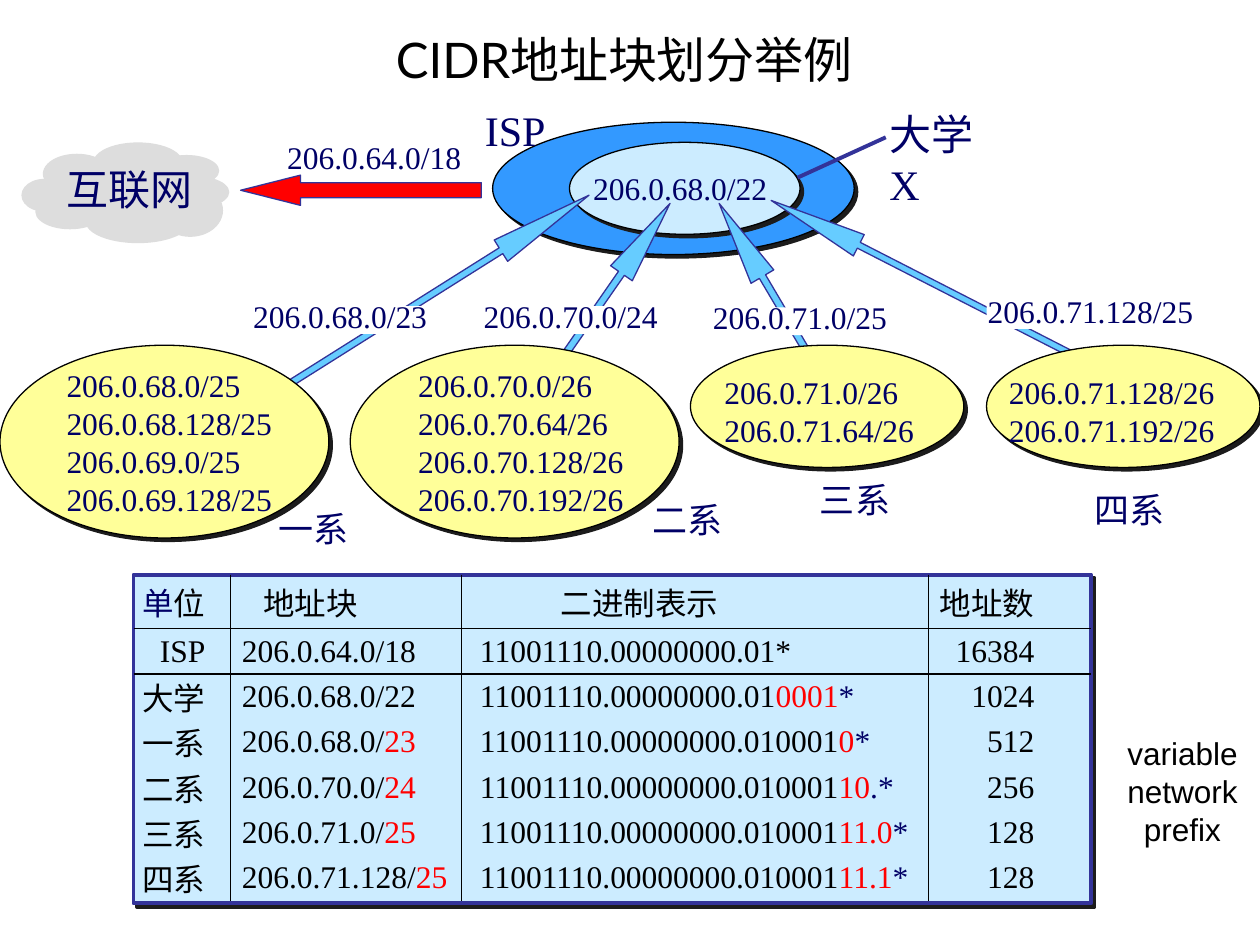
"""Build the slide that explains CIDR address block allocation."""
from typing import NamedTuple

from lxml.etree import SubElement
from pptx import Presentation
from pptx.dml.color import RGBColor
from pptx.enum.shapes import MSO_CONNECTOR, MSO_SHAPE as Preset
from pptx.enum.text import MSO_ANCHOR as Anchor, PP_ALIGN as Align
from pptx.oxml.ns import qn
from pptx.util import Inches, Pt

BLACK = RGBColor(0x00, 0x00, 0x00)
WHITE = RGBColor(0xFF, 0xFF, 0xFF)
NAVY = RGBColor(0x00, 0x00, 0x66)
INDIGO = RGBColor(0x33, 0x33, 0x99)
RED = RGBColor(0xFF, 0x00, 0x00)
GREY = RGBColor(0xDD, 0xDD, 0xDD)
BLUE = RGBColor(0x33, 0x99, 0xFF)
SKY = RGBColor(0x66, 0xCC, 0xFF)
PALE = RGBColor(0xCC, 0xEC, 0xFF)
YELLOW = RGBColor(0xFF, 0xFF, 0x99)
SERIF = "Times New Roman"
NO_GRID_STYLE = "{2D5ABB26-0587-4C30-8999-92F81FD0307C}"


class Box(NamedTuple):
    left: float
    top: float
    width: float
    height: float


class Arrow(NamedTuple):
    box: Box
    rotation: float
    head: float


class Department(NamedTuple):
    name: str
    name_box: Box
    arrow: Arrow
    ellipse: Box
    subnets: str
    subnets_box: Box
    prefix: str
    prefix_box: Box


class Part(NamedTuple):
    text: str
    color: RGBColor = BLACK


class Column(NamedTuple):
    width: float
    align: Align
    margin_left: float
    margin_right: float
    heading_left: float


class Row(NamedTuple):
    unit: str
    block: str
    length: Part
    binary: str
    varying: str
    suffix: Part
    count: str

    def cells(self) -> list[list[Part]]:
        return [[Part(self.unit)], [Part(self.block), self.length],
                [Part(self.binary), Part(self.varying, RED), self.suffix], [Part(self.count)]]


CLOUD = [
    Box(0.74, 1.13, 0.71, 0.32), Box(0.34, 1.22, 0.54, 0.32), Box(0.17, 1.42, 0.36, 0.26),
    Box(0.28, 1.54, 0.55, 0.28), Box(0.68, 1.59, 0.83, 0.34), Box(1.22, 1.23, 0.52, 0.25),
    Box(1.30, 1.40, 0.52, 0.25), Box(1.25, 1.46, 0.52, 0.42), Box(0.47, 1.33, 1.07, 0.42),
]

DEPARTMENTS = [
    Department("一系", Box(2.11, 3.98, 0.76, 0.43), Arrow(Box(1.97, 2.23, 2.93, 0.2), 147.8, 4.13),
               Box(0, 2.74, 2.61, 1.53),
               "206.0.68.0/25\n206.0.68.128/25\n206.0.69.0/25\n206.0.69.128/25",
               Box(0.43, 2.86, 1.83, 1.3), "206.0.68.0/23", Box(1.91, 2.31, 1.58, 0.4)),
    Department("二系", Box(5.08, 3.91, 0.76, 0.43), Arrow(Box(3.48, 2.47, 2.34, 0.21), 124.8, 3.22),
               Box(2.78, 2.74, 2.61, 1.53),
               "206.0.70.0/26\n206.0.70.64/26\n206.0.70.128/26\n206.0.70.192/26",
               Box(3.22, 2.86, 1.83, 1.3), "206.0.70.0/24", Box(3.74, 2.31, 1.58, 0.4)),
    Department("三系", Box(6.41, 3.75, 0.76, 0.43), Arrow(Box(5.13, 2.52, 2.35, 0.21), 59.4, 3.22),
               Box(5.48, 2.74, 2.17, 0.97), "206.0.71.0/26\n206.0.71.64/26",
               Box(5.65, 2.91, 1.71, 0.7), "206.0.71.0/25", Box(5.56, 2.32, 1.58, 0.4)),
    Department("四系", Box(8.59, 3.83, 0.76, 0.43), Arrow(Box(5.97, 2.12, 2.74, 0.19), 27.1, 4.11),
               Box(7.83, 2.74, 2.17, 0.97), "206.0.71.128/26\n206.0.71.192/26",
               Box(7.91, 2.91, 1.83, 0.7), "206.0.71.128/25", Box(7.74, 2.27, 1.83, 0.4)),
]

COLUMNS = [
    Column(0.77, Align.RIGHT, 0, 0.2, 0),
    Column(1.83, Align.LEFT, 0.09, 0, 0.26),
    Column(3.71, Align.LEFT, 0.15, 0, 0.79),
    Column(1.29, Align.RIGHT, 0, 0.45, 0),
]
HEADINGS = [[Part("单", NAVY), Part("位")], [Part("地址块")], [Part("二进制表示")], [Part("地址数")]]
STAR = Part("*", NAVY)
ROWS = [
    Row("ISP", "206.0.64.0/", Part("18"), "11001110.00000000.01", "", Part("*"), "16384"),
    Row("大学", "206.0.68.0/", Part("22"), "11001110.00000000.01", "0001", STAR, "1024"),
    Row("一系", "206.0.68.0/", Part("23", RED), "11001110.00000000.010001", "0", STAR, "512"),
    Row("二系", "206.0.70.0/", Part("24", RED), "11001110.00000000.010001", "10",
        Part(".*", NAVY), "256"),
    Row("三系", "206.0.71.0/", Part("25", RED), "11001110.00000000.010001", "11.0", STAR, "128"),
    Row("四系", "206.0.71.128/", Part("25", RED), "11001110.00000000.010001", "11.1", STAR, "128"),
]


def draw_shape(slide, preset: Preset, box: Box, fill: RGBColor, line: RGBColor | None = None,
               weight: float = 0.75, shadow: bool = False):
    shape = slide.shapes.add_shape(preset, *map(Inches, box))
    shape.shadow.inherit = False
    shape.fill.solid()
    shape.fill.fore_color.rgb = fill
    if line is None:
        shape.line.fill.background()
    else:
        shape.line.color.rgb = line
        shape.line.width = Pt(weight)
    if shadow:
        effects = shape._element.spPr.find(qn("a:effectLst"))
        outer = SubElement(effects, qn("a:outerShdw"), dist=str(Pt(2.8)), dir="2700000",
                           algn="ctr", rotWithShape="0")
        SubElement(outer, qn("a:srgbClr"), val="1C1C1C")
    return shape


def draw_arrow(slide, arrow: Arrow, fill: RGBColor, shaft: float) -> None:
    shape = draw_shape(slide, Preset.LEFT_ARROW, arrow.box, fill, INDIGO)
    shape.adjustments[0] = shaft
    shape.adjustments[1] = arrow.head
    shape.rotation = arrow.rotation


def write(slide, box: Box, text: str, size: float = 18, color: RGBColor = NAVY, font: str = SERIF,
          align: Align = Align.LEFT, wrap: bool = False, anchor: Anchor = Anchor.TOP) -> None:
    frame = slide.shapes.add_textbox(*map(Inches, box)).text_frame
    frame.word_wrap = wrap
    frame.vertical_anchor = anchor
    frame.text = text
    for paragraph in frame.paragraphs:
        paragraph.alignment = align
        for run in paragraph.runs:
            run.font.size = Pt(size)
            run.font.name = font
            run.font.color.rgb = color


def draw_department(slide, department: Department) -> None:
    write(slide, department.name_box, department.name, 20)
    draw_arrow(slide, department.arrow, SKY, 0.27)
    draw_shape(slide, Preset.OVAL, department.ellipse, YELLOW, BLACK, shadow=True)
    write(slide, department.subnets_box, department.subnets)
    left, top, width, _ = department.prefix_box
    draw_shape(slide, Preset.RECTANGLE, Box(left + 0.09, top + 0.12, width - 0.1, 0.22), WHITE)
    write(slide, department.prefix_box, department.prefix)


def add_border(cell, side: str) -> None:
    line = SubElement(cell._tc.get_or_add_tcPr(), qn(f"a:{side}"), w=str(Pt(0.75)))
    SubElement(SubElement(line, qn("a:solidFill")), qn("a:srgbClr"), val=str(BLACK))


def fill_cell(cell, parts: list[Part], column: Column, margin_left: float) -> None:
    cell.margin_left, cell.margin_right = Inches(margin_left), Inches(column.margin_right)
    cell.margin_top = cell.margin_bottom = 0
    cell.vertical_anchor = Anchor.MIDDLE
    cell.fill.background()
    paragraph = cell.text_frame.paragraphs[0]
    paragraph.alignment = column.align
    for part in filter(lambda item: item.text, parts):
        run = paragraph.add_run()
        run.text = part.text
        run.font.size = Pt(18)
        run.font.name = SERIF
        run.font.color.rgb = part.color


def draw_allocation_table(slide, box: Box) -> None:
    draw_shape(slide, Preset.RECTANGLE, box, PALE, INDIGO, 2.25, shadow=True)
    lines = [HEADINGS] + [row.cells() for row in ROWS]
    table = slide.shapes.add_table(len(lines), len(COLUMNS), *map(Inches, box)).table
    table.first_row = table.horz_banding = False
    table._tbl.tblPr.find(qn("a:tableStyleId")).text = NO_GRID_STYLE
    for index, column in enumerate(COLUMNS):
        table.columns[index].width = Inches(column.width)
    for row_index, line in enumerate(lines):
        heading = row_index == 0
        table.rows[row_index].height = Inches(0.43 if heading else 0.36)
        for index, (column, parts) in enumerate(zip(COLUMNS, line)):
            cell = table.cell(row_index, index)
            sides = {"lnL": index > 0, "lnR": index < len(COLUMNS) - 1,
                     "lnT": row_index == 1, "lnB": heading}
            for side in filter(sides.get, sides):
                add_border(cell, side)
            fill_cell(cell, parts, column, column.heading_left if heading else column.margin_left)


def main() -> None:
    deck = Presentation()
    deck.slide_width, deck.slide_height = Inches(10), Inches(7.5)
    slide = deck.slides.add_slide(deck.slide_layouts[6])
    write(slide, Box(0.5, 0.21, 8.91, 0.52), "CIDR地址块划分举例", 28, BLACK, "Lato",
          Align.CENTER, True, Anchor.MIDDLE)
    for puff in CLOUD:
        draw_shape(slide, Preset.OVAL, puff, GREY)
    write(slide, Box(0.43, 1.25, 1.2, 0.5), "互联网", 24)
    draw_shape(slide, Preset.OVAL, Box(3.91, 0.97, 2.87, 1.05), BLUE, BLACK, shadow=True)
    draw_shape(slide, Preset.OVAL, Box(4.52, 1.13, 1.83, 0.73), PALE, BLACK, shadow=True)
    write(slide, Box(4.61, 1.29, 1.58, 0.4), "206.0.68.0/22")
    write(slide, Box(2.18, 1.05, 1.58, 0.4), "206.0.64.0/18")
    draw_arrow(slide, Arrow(Box(1.91, 1.39, 1.91, 0.24), 0, 1.98), RED, 0.5)
    write(slide, Box(3.75, 0.78, 0.69, 0.5), "ISP", 24)
    write(slide, Box(6.96, 0.81, 1.1, 0.9), "大学 X", 24, wrap=True)
    pointer = slide.shapes.add_connector(MSO_CONNECTOR.STRAIGHT,
                                         *map(Inches, (6.33, 1.41, 7.03, 1.09)))
    pointer.line.color.rgb = INDIGO
    pointer.line.width = Pt(2.25)
    SubElement(pointer._element.spPr, qn("a:effectLst"))
    for department in DEPARTMENTS:
        draw_department(slide, department)
    draw_allocation_table(slide, Box(1.06, 4.56, 7.6, 2.61))
    write(slide, Box(8.77, 5.78, 1.23, 1.01), "variable network prefix", 18, BLACK, "Arial",
          Align.CENTER, True)
    deck.save("out.pptx")


if __name__ == "__main__":
    main()
